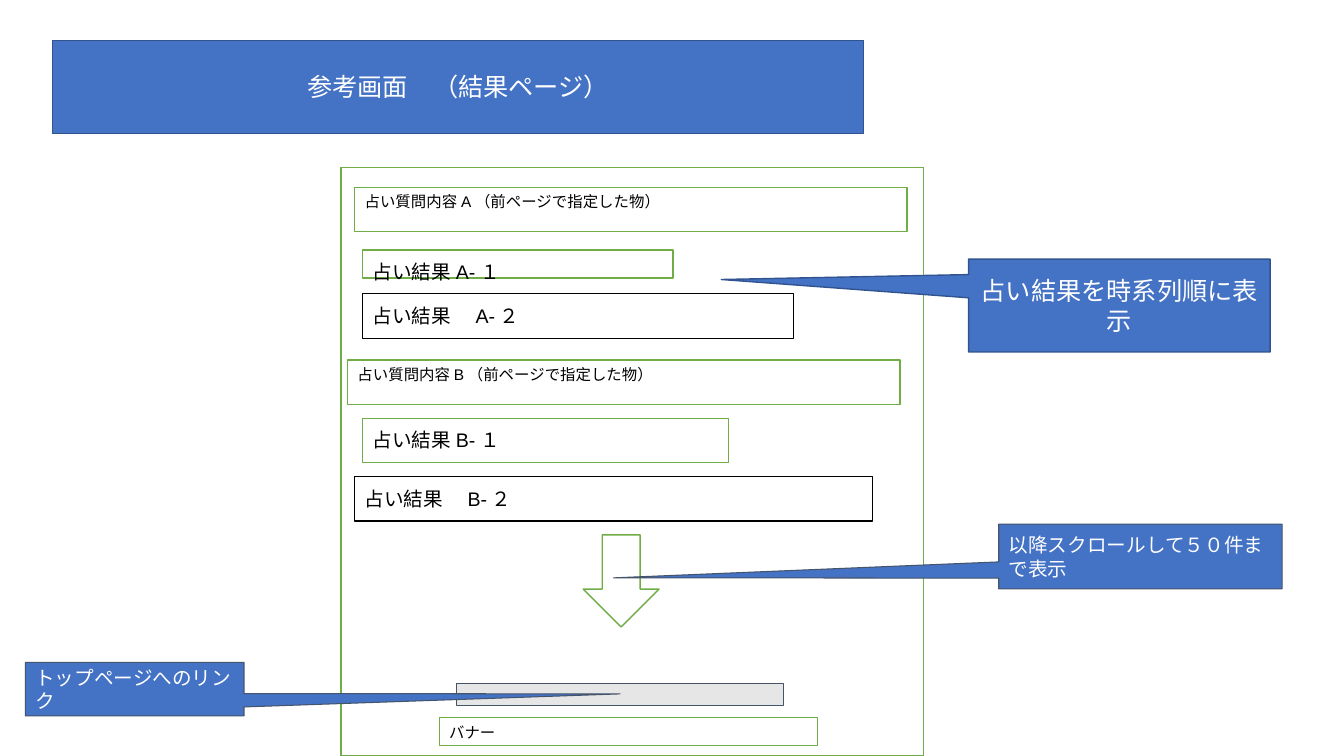
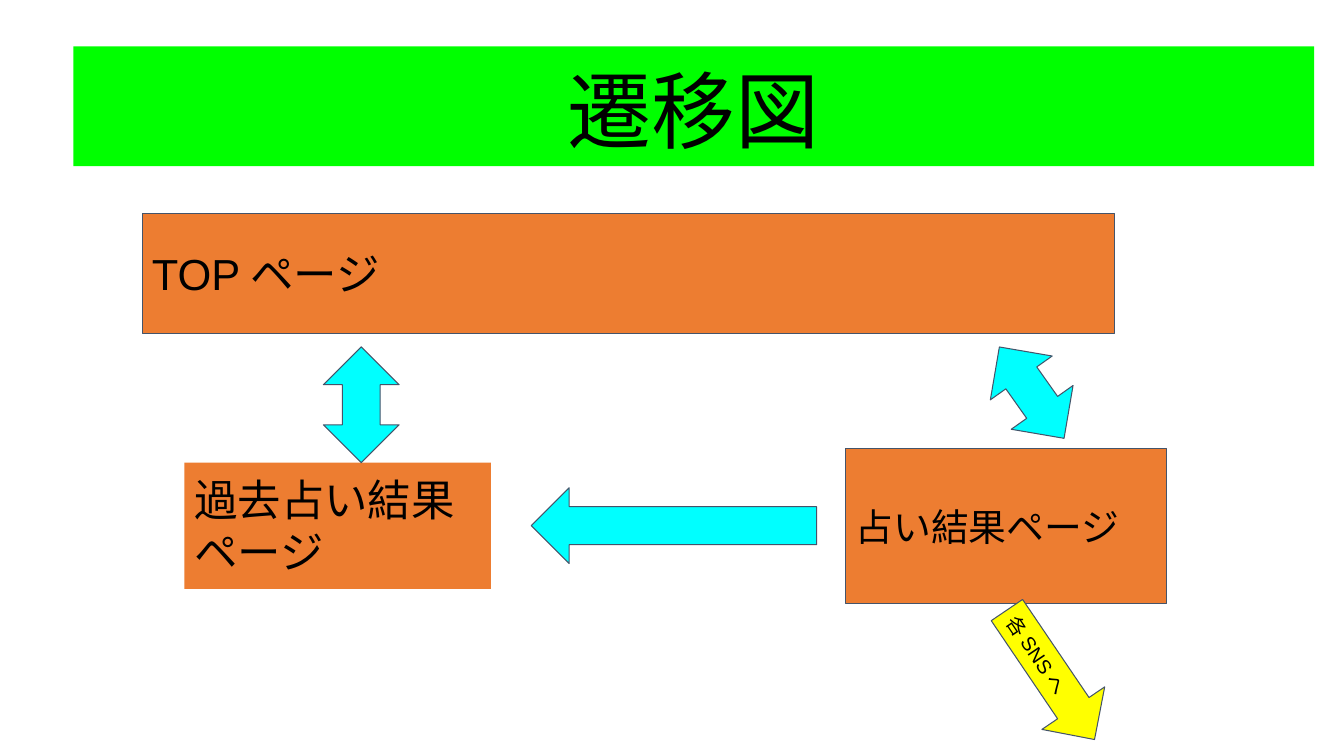
"""Build a results-page wireframe and a page transition diagram."""
from dataclasses import dataclass, replace

from pptx import Presentation
from pptx.dml.color import RGBColor
from pptx.enum import shapes, text
from pptx.util import Cm, Pt

BLUE = RGBColor(0x44, 0x72, 0xC4)
NAVY = RGBColor(0x31, 0x53, 0x8F)
GREEN = RGBColor(0x70, 0xAD, 0x47)
SLATE = RGBColor(0x44, 0x54, 0x6A)
GREY = RGBColor(0xE7, 0xE6, 0xE6)
ORANGE = RGBColor(0xED, 0x7D, 0x31)
LIME = RGBColor(0x00, 0xFF, 0x00)
CYAN = RGBColor(0x00, 0xFF, 0xFF)
YELLOW = RGBColor(0xFF, 0xFF, 0x00)
WHITE = RGBColor(0xFF, 0xFF, 0xFF)
BLACK = RGBColor(0x00, 0x00, 0x00)

FONT = "Arial"
SIDE_INSET = 0.25
KIND = shapes.MSO_SHAPE
TOP, MIDDLE, BOTTOM = text.MSO_ANCHOR.TOP, text.MSO_ANCHOR.MIDDLE, text.MSO_ANCHOR.BOTTOM
LEFT, CENTER = text.PP_ALIGN.LEFT, text.PP_ALIGN.CENTER


@dataclass(frozen=True)
class Style:
    """Look of a shape and of its text."""
    fill: RGBColor | None = WHITE
    line: RGBColor | None = SLATE
    weight: float = 0.75
    size: float = 14
    color: RGBColor = BLACK
    align: text.PP_ALIGN = LEFT
    anchor: text.MSO_ANCHOR = MIDDLE
    inset: float = 0.25
    spacing: float = 1.0


HEADING = Style(BLUE, NAVY, 1, 18, WHITE, CENTER, inset=0.13)
NOTE = Style(BLUE, color=WHITE)
FIELD = Style(WHITE, GREEN, 1, 11, anchor=TOP, inset=0.13)
FIRST_RESULT = replace(FIELD, size=14, inset=0.25)
NEXT_RESULT = Style(None, BLACK, anchor=TOP)
BUTTON = Style(GREY)
TITLE = Style(LIME, None, size=60, align=CENTER, anchor=BOTTOM, inset=0.13, spacing=0.9)
NODE = Style(ORANGE, size=31)
PAST_NODE = replace(NODE, line=None, anchor=TOP)
RESULT_NODE = replace(NODE, size=27)
FLOW = Style(CYAN)
SNS_FLOW = Style(YELLOW)

RESULT_PAGE = [
    (KIND.RECTANGLE, (1.32, 1.02, 20.45, 2.34), HEADING, "参考画面　（結果ページ）"),
    (KIND.RECTANGLE, (8.59, 4.22, 14.68, 14.83), FIELD, ""),
    (KIND.RECTANGLE, (11.07, 18.08, 9.53, 0.71), FIELD, "バナー"),
    (KIND.RECTANGLE, (8.76, 9.07, 13.92, 1.12), FIELD, "占い質問内容B（前ページで指定した物）"),
    (KIND.RECTANGULAR_CALLOUT, (24.41, 6.53, 7.6, 2.34), HEADING,
     "占い結果を時系列順に表示", (-1.32, -0.28)),
    (KIND.RECTANGLE, (9.14, 6.3, 7.82, 0.71), FIRST_RESULT, "占い結果A-１"),
    (KIND.RECTANGLE, (9.14, 7.4, 10.87, 1.12), NEXT_RESULT, "占い結果　A-２"),
    (KIND.RECTANGLE, (11.51, 17.22, 8.23, 0.56), BUTTON, ""),
    (KIND.RECTANGULAR_CALLOUT, (0.64, 16.69, 5.51, 1.35), NOTE,
     "トップページへのリンク", (2.22, 0.09)),
    (KIND.RECTANGLE, (8.94, 4.72, 13.92, 1.12), FIELD, "占い質問内容A（前ページで指定した物）"),
    (KIND.RECTANGLE, (9.14, 10.54, 9.22, 1.12), FIRST_RESULT, "占い結果B-１"),
    (KIND.RECTANGLE, (8.94, 12.01, 13.06, 1.12), NEXT_RESULT, "占い結果　B-２"),
    (KIND.DOWN_ARROW, (14.7, 13.48, 1.91, 2.32), FIELD, ""),
    (KIND.RECTANGULAR_CALLOUT, (25.17, 13.21, 7.14, 1.63), NOTE,
     "以降スクロールして５０件まで表示", (-1.86, 0.33)),
]

TRANSITIONS = [
    (KIND.RECTANGLE, (1.85, 1.17, 31.27, 3.02), TITLE, "遷移図"),
    (KIND.RECTANGLE, (3.58, 5.38, 24.51, 3.02), NODE, "TOPページ"),
    (KIND.RECTANGLE, (4.65, 11.66, 7.72, 3.18), PAST_NODE, "過去占い結果ページ"),
    (KIND.RECTANGLE, (21.31, 11.3, 8.1, 3.91), RESULT_NODE, "占い結果ページ"),
    (KIND.RIGHT_ARROW, (13.39, 12.29, 7.19, 1.91), FLOW, "", (0.5, 0.5), 180),
    (KIND.UP_DOWN_ARROW, (8.15, 8.74, 1.91, 2.92), FLOW, ""),
    (KIND.LEFT_RIGHT_ARROW, (24.59, 8.94, 2.82, 1.91), FLOW, "", (0.5, 0.5), 54.7),
    (KIND.RIGHT_ARROW, (24.51, 16.05, 3.94, 1.91), SNS_FLOW, "各SNSへ", (0.5, 0.5), 55.9),
]


def write_text(box, words, style):
    """Put one styled paragraph into a shape."""
    frame = box.text_frame
    frame.word_wrap = True
    frame.vertical_anchor = style.anchor
    frame.margin_left = frame.margin_right = Cm(SIDE_INSET)
    frame.margin_top = frame.margin_bottom = Cm(style.inset)
    para = frame.paragraphs[0]
    para.alignment = style.align
    para.line_spacing = style.spacing
    span = para.add_run()
    span.text = words
    span.font.name = FONT
    span.font.size = Pt(style.size)
    span.font.color.rgb = style.color


def add_box(page, kind, place, style, words, adjustments=(), rotation=0):
    """Draw one preset shape with its text."""
    box = page.shapes.add_shape(kind, *map(Cm, place))
    box.shadow.inherit = False
    box.rotation = rotation
    for index, value in enumerate(adjustments):
        box.adjustments[index] = value
    if style.fill is None:
        box.fill.background()
    else:
        box.fill.solid()
        box.fill.fore_color.rgb = style.fill
    if style.line is None:
        box.line.fill.background()
    else:
        box.line.color.rgb = style.line
        box.line.width = Pt(style.weight)
    if words:
        write_text(box, words, style)


def main():
    """Build and save the deck."""
    deck = Presentation()
    deck.slide_width, deck.slide_height = Cm(33.87), Cm(19.05)
    for parts in (RESULT_PAGE, TRANSITIONS):
        page = deck.slides.add_slide(deck.slide_layouts[6])
        for part in parts:
            add_box(page, *part)
    deck.save("out.pptx")


if __name__ == "__main__":
    main()
